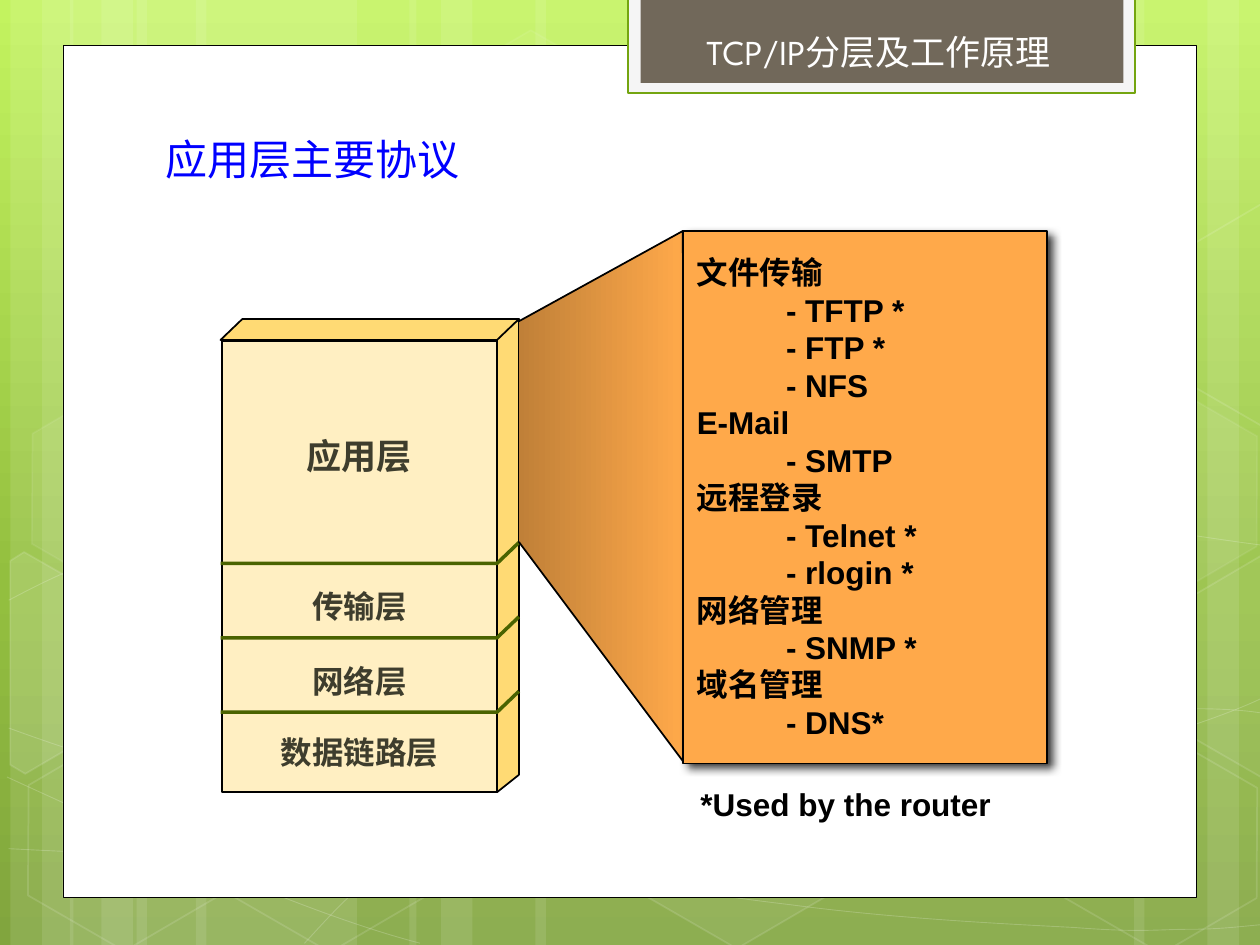
import collections
import math

import lxml.etree
import pptx
import pptx.dml.color
import pptx.enum.shapes
import pptx.enum.text
import pptx.oxml.ns
import pptx.util

Pt = pptx.util.Pt
RGB = pptx.dml.color.RGBColor
qn = pptx.oxml.ns.qn
SHAPES = pptx.enum.shapes.MSO_SHAPE
ALIGN = pptx.enum.text.PP_ALIGN
ANCHOR = pptx.enum.text.MSO_ANCHOR
Box = collections.namedtuple("Box", "left top width height")

WHITE, BLACK = RGB(255, 255, 255), RGB(0, 0, 0)
LIME, LEAF, MOSS = RGB(0xC3, 0xF3, 0x5F), RGB(0x93, 0xBF, 0x3F), RGB(0x81, 0xA5, 0x3E)
PALE, GREEN, TAUPE = RGB(0xF5, 0xF5, 0xF5), RGB(0x74, 0xA5, 0x10), RGB(0x71, 0x68, 0x5A)
BLUE, INK, OLIVE = RGB(0, 0, 255), RGB(0x3E, 0x3D, 0x2D), RGB(0x4A, 0x63, 0)
GOLD, CREAM = RGB(0xFF, 0xDA, 0x74), RGB(0xFF, 0xEF, 0xC2)
ORANGE, BROWN = RGB(0xFF, 0xA9, 0x4A), RGB(0xC0, 0x80, 0x38)

STRIPES = [(78, 126), (6, 36), (24, 60), (112, 126), (40, 36), (58, 60),
           (528, 126), (690, 36), (648, 60), (306, 222), (234, 36), (252, 60)]
HEXAGONS = [(240.5, 25.9, 4, 8), (357.8, 424.1, 6, 12), (7.9, 425.5, 0, 12),
            (10.1, 224.6, 7, 8), (125.3, 426.2, 0, 12), (542.2, 326.2, 10, 12),
            (600.5, 427, 0, 12), (600.5, 226.1, 7, 8)]
LEFT_PIECE = [(5.8, 320.4), (13.7, 315.4), (69.1, 347), (68.4, 410.4), (14.4, 442.1), (5.8, 437)]
RIGHT_PIECE = [(666.7, 349.2), (720.7, 317.5), (726.5, 321.1), (726.5, 441.4),
               (721.4, 444.2), (666.7, 412.6)]
PIECES = [(LEFT_PIECE, (25.9, 385.2), 0, 10), (RIGHT_PIECE, (709.2, 374.4), 0, 4),
          (RIGHT_PIECE, (709.2, 374.4), 200.9, 0)]
CURVES = [
    [(5, 485), (44, 487, 83, 489, 137, 488), (191, 487, 258, 486, 330, 479),
     (402, 472, 504, 458, 570, 444), (636, 431, 703, 409, 725, 397)],
    [(5, 343), (26, 332, 47, 321, 87, 310), (128, 300, 186, 284, 250, 279),
     (314, 274, 392, 273, 471, 279), (550, 284, 682, 307, 725, 312)],
    [(4, 444), (91, 484, 178, 523, 240, 539)],
    [(5, 416), (27, 424, 50, 432, 92, 444), (134, 454, 197, 472, 257, 485),
     (317, 497, 392, 510, 452, 517), (512, 525, 576, 528, 614, 530),
     (652, 533, 662, 531, 680, 531), (699, 531, 712, 529, 725, 528)],
    [(174, 539), (187, 525, 200, 510, 217, 498), (235, 485, 259, 470, 279, 460),
     (300, 450, 312, 446, 338, 438), (364, 431, 413, 421, 438, 416),
     (464, 411, 467, 411, 490, 410), (512, 408, 547, 405, 572, 405),
     (597, 404, 638, 405, 638, 405), (638, 405, 686, 405, 686, 405),
     (699, 405, 711, 406, 718, 407), (724, 408, 722, 407, 724, 408)],
]
LAYERS = [("应用层", 62, 118, 35, 20), ("传输层", 149, 103, 32, 18),
          ("网络层", 191.5, 103, 32, 18), ("数据链路层", 232.5, 118, 32, 18)]
PROTOCOLS = [("文件传输", ["TFTP *", "FTP *", "NFS"]), ("E-Mail", ["SMTP"]),
             ("远程登录", ["Telnet *", "rlogin *"]), ("网络管理", ["SNMP *"]),
             ("域名管理", ["DNS*"])]


def apply(target, formats):
    """Set each attribute named in formats on target."""
    for name, value in formats.items():
        setattr(target, name, value)


def paint(shape, fill=None, line=None, weight=1, fill_alpha=100, line_alpha=100):
    """Give a shape its fill and line, without a shadow."""
    shape.shadow.inherit = False
    for part, color, alpha, steps in (
            (shape.fill, fill, fill_alpha, ["a:solidFill", "a:srgbClr"]),
            (shape.line.fill, line, line_alpha, ["a:ln", "a:solidFill", "a:srgbClr"])):
        if color is None:
            part.background()
            continue
        part.solid()
        part.fore_color.rgb = color
        if alpha < 100:
            tint = shape._element.spPr.find("/".join(qn(step) for step in steps))
            lxml.etree.SubElement(tint, qn("a:alpha"), val=str(alpha * 1000))
    if line is not None:
        shape.line.width = Pt(weight)
    return shape


def blend(fill, root, stops, degrees):
    """Fill with a linear gradient of (position, colour) stops."""
    fill.gradient()
    gradient = root.find(".//" + qn("a:gradFill"))
    listing = gradient.find(qn("a:gsLst"))
    for old in list(listing):
        listing.remove(old)
    for position, color in stops:
        stop = lxml.etree.SubElement(listing, qn("a:gs"), pos=str(position * 1000))
        lxml.etree.SubElement(stop, qn("a:srgbClr"), val=str(color))
    gradient.find(qn("a:lin")).set("ang", str(degrees * 60000))


def add_preset(page, kind, box, **look):
    """Add a painted preset shape."""
    return paint(page.shapes.add_shape(kind, *map(Pt, box)), **look)


def add_outline(page, points, closed=True, left=0, top=0, **look):
    """Add a painted freeform through points offset by left and top."""
    spots = [(Pt(left + x), Pt(top + y)) for x, y in points]
    builder = page.shapes.build_freeform(*spots[0], scale=1.0)
    builder.add_line_segments(spots[1:], close=closed)
    return paint(builder.convert_to_shape(), **look)


def add_curve(page, start, arcs, left, top, **look):
    """Add an open freeform of cubic arcs."""
    ends = [start] + [arc[4:] for arc in arcs]
    shape = add_outline(page, ends, False, left, top, **look)
    for segment, arc in zip(list(shape._element.iter(qn("a:lnTo"))), arcs):
        bend = lxml.etree.Element(qn("a:cubicBezTo"))
        for x, y in zip(arc[::2], arc[1::2]):
            lxml.etree.SubElement(bend, qn("a:pt"), x=str(Pt(left + x) - shape.left),
                                  y=str(Pt(top + y) - shape.top))
        segment.getparent().replace(segment, bend)


def turn(points, center, degrees):
    """Return points turned about center."""
    cos, sin = math.cos(math.radians(degrees)), math.sin(math.radians(degrees))
    across, down = center
    return [(across + (x - across) * cos - (y - down) * sin,
             down + (x - across) * sin + (y - down) * cos) for x, y in points]


def write(frame, lines, frame_format, para_format, font_format, color, tabs=()):
    """Fill a text frame with evenly formatted paragraphs."""
    apply(frame, frame_format)
    for index, line in enumerate(lines):
        para = frame.add_paragraph() if index else frame.paragraphs[0]
        if tabs:
            listing = lxml.etree.SubElement(para._p.get_or_add_pPr(), qn("a:tabLst"))
            for tab in tabs:
                lxml.etree.SubElement(listing, qn("a:tab"), pos=str(Pt(tab)), algn="l")
        apply(para, para_format)
        span = para.add_run()
        span.text = line
        apply(span.font, font_format)
        span.font.color.rgb = color


def margins(side, end):
    """Return the frame format for side and end insets."""
    return {"margin_left": Pt(side), "margin_right": Pt(side),
            "margin_top": Pt(end), "margin_bottom": Pt(end)}


def draw_backdrop(page, box):
    """Draw the green ground with its stripes, curves, hexagons and panel."""
    blend(page.background.fill, page._element, [(0, LIME), (62, LEAF), (100, MOSS)], 90)
    for left, width in STRIPES:
        add_preset(page, SHAPES.RECTANGLE, (box.left + left, box.top, width, box.height),
                   fill=WHITE, fill_alpha=10)
    for start, *arcs in CURVES:
        add_curve(page, start, arcs, box.left, box.top, line=WHITE, weight=0.5, line_alpha=20)
    for left, top, fill_alpha, line_alpha in HEXAGONS:
        hexagon = add_preset(page, SHAPES.HEXAGON, (box.left + left, box.top + top, 126, 109.4),
                             fill=WHITE if fill_alpha else None, line=WHITE,
                             fill_alpha=fill_alpha, line_alpha=line_alpha)
        hexagon.rotation = 30
        hexagon.adjustments[0], hexagon.adjustments[1] = 0.285, 1.155
    for points, center, rise, alpha in PIECES:
        piece = add_outline(page, turn(points, center, -30), True, box.left, box.top - rise,
                            fill=WHITE if alpha else None, fill_alpha=alpha,
                            line=WHITE, line_alpha=12)
        piece.rotation = 30
    add_preset(page, SHAPES.RECTANGLE, (box.left + 36, box.top + 26, 648, 487),
               fill=WHITE, line=BLACK, weight=0.5)


def draw_header(page, box):
    """Draw the hanging tab with the chapter name."""
    add_preset(page, SHAPES.RECTANGLE, box, fill=PALE, line=GREEN, weight=1.25)
    add_preset(page, SHAPES.RECTANGLE, (box.left + 7, box.top, 276, 48.8), fill=TAUPE)
    label = page.shapes.add_textbox(*map(Pt, (box.left + 37.5, box.top + 15.4, 218, 31.5)))
    write(label.text_frame, ["TCP/IP分层及工作原理"], {"word_wrap": False}, {},
          {"size": Pt(20), "name": "League Spartan"}, WHITE)


def draw_title(page, box):
    """Write the slide title."""
    title = page.shapes.add_textbox(*map(Pt, box))
    write(title.text_frame, ["应用层主要协议"], {"word_wrap": True, "margin_left": Pt(12.6)},
          {"line_spacing": 1.2}, {"size": Pt(24), "name": "League Spartan"}, BLUE)


def draw_stack(page, box):
    """Draw the block of network layers."""
    depth = 12.5
    front = box.width - depth
    corner = {"left": box.left, "top": box.top}
    add_outline(page, [(box.width, 0), (front, 11), (front, box.height), (box.width, 260.5)],
                fill=GOLD, line=BLACK, **corner)
    add_preset(page, SHAPES.RECTANGLE, (box.left + 0.8, box.top + depth, front - 0.8,
                                        box.height - depth), fill=CREAM, line=BLACK)
    for name, top, width, height, size in LAYERS:
        left = box.left + 79.4 - width / 2
        label = page.shapes.add_textbox(*map(Pt, (left, box.top + top, width, height)))
        write(label.text_frame, [name], {"word_wrap": True, **margins(11.5, 5.8)},
              {"alignment": ALIGN.CENTER, "line_spacing": 0.95},
              {"size": Pt(size), "name": "Arial", "bold": True}, INK)
    add_outline(page, [(0, 12), (depth, 0), (box.width, 0), (front, 12)],
                fill=GOLD, line=BLACK, **corner)
    for level in range(3):
        base = 139.7 + level * 42.5
        add_outline(page, [(0, base), (front, base), (box.width, base - 12)], False,
                    line=OLIVE, weight=2, **corner)


def draw_protocols(page, box, stack):
    """Draw the protocol list, its beam from the stack and its footnote."""
    start = stack.left + stack.width
    beam = add_outline(page, [(start, stack.top + 1.3), (box.left, box.top),
                              (box.left + 0.5, box.top + 303.6), (start, stack.top + 127.4)],
                       False, line=BLACK)
    blend(beam.fill, beam._element, [(0, BROWN), (100, ORANGE)], 0)
    bold = {"size": Pt(18), "name": "Arial", "bold": True}
    note = page.shapes.add_textbox(*map(Pt, (box.left + 8.7, box.top + box.height, 200, 32.4)))
    write(note.text_frame, ["*Used by the router"], {"word_wrap": False, **margins(1.4, 2.2)},
          {"line_spacing": Pt(31.5)}, bold, BLACK)
    card = add_preset(page, SHAPES.RECTANGLE, box, fill=ORANGE, line=BLACK)
    shadow = lxml.etree.SubElement(card._element.spPr.find(qn("a:effectLst")), qn("a:outerShdw"),
                                   blurRad=str(Pt(5)), dist=str(Pt(3.7)), dir=str(35 * 60000))
    tint = lxml.etree.SubElement(shadow, qn("a:srgbClr"), val=str(BLACK))
    lxml.etree.SubElement(tint, qn("a:alpha"), val="75000")
    lines = [line for group, names in PROTOCOLS
             for line in [group] + ["\t- " + name for name in names]]
    write(card.text_frame, lines,
          {"word_wrap": False, "vertical_anchor": ANCHOR.MIDDLE, **margins(8, 4.3)},
          {"alignment": ALIGN.LEFT, "line_spacing": Pt(21.4)}, bold, BLACK, tabs=[51])


def main():
    """Build and save the slide."""
    deck = pptx.Presentation()
    apply(deck, {"slide_width": Pt(720), "slide_height": Pt(540)})
    page = deck.slides.add_slide(deck.slide_layouts[6])
    stack = Box(126, 182.3, 170.5, 270.4)
    draw_backdrop(page, Box(0, 0, 720, 540))
    draw_header(page, Box(359, -1.4, 289.5, 54.7))
    draw_title(page, Box(82, 67, 533.5, 65.5))
    draw_stack(page, stack)
    draw_protocols(page, Box(390.2, 132, 208, 304.3), stack)
    deck.save("out.pptx")


if __name__ == "__main__":
    main()
